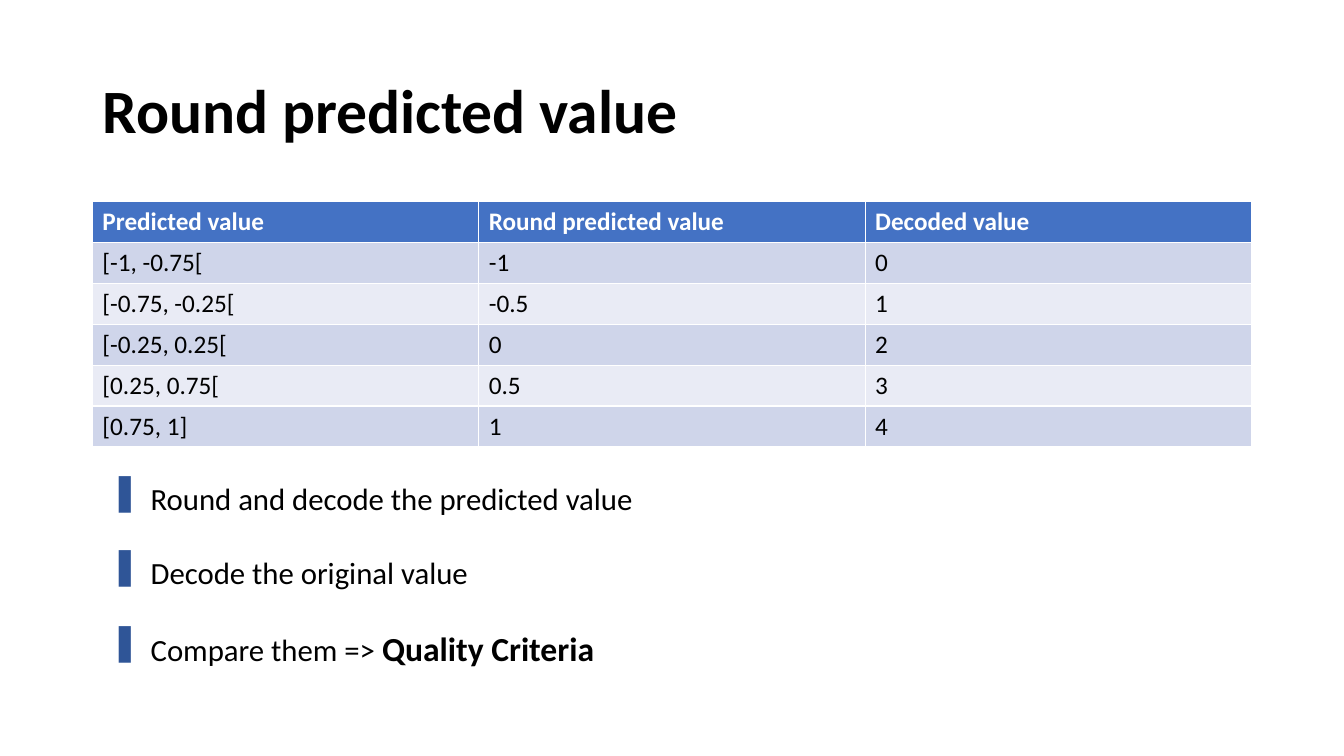
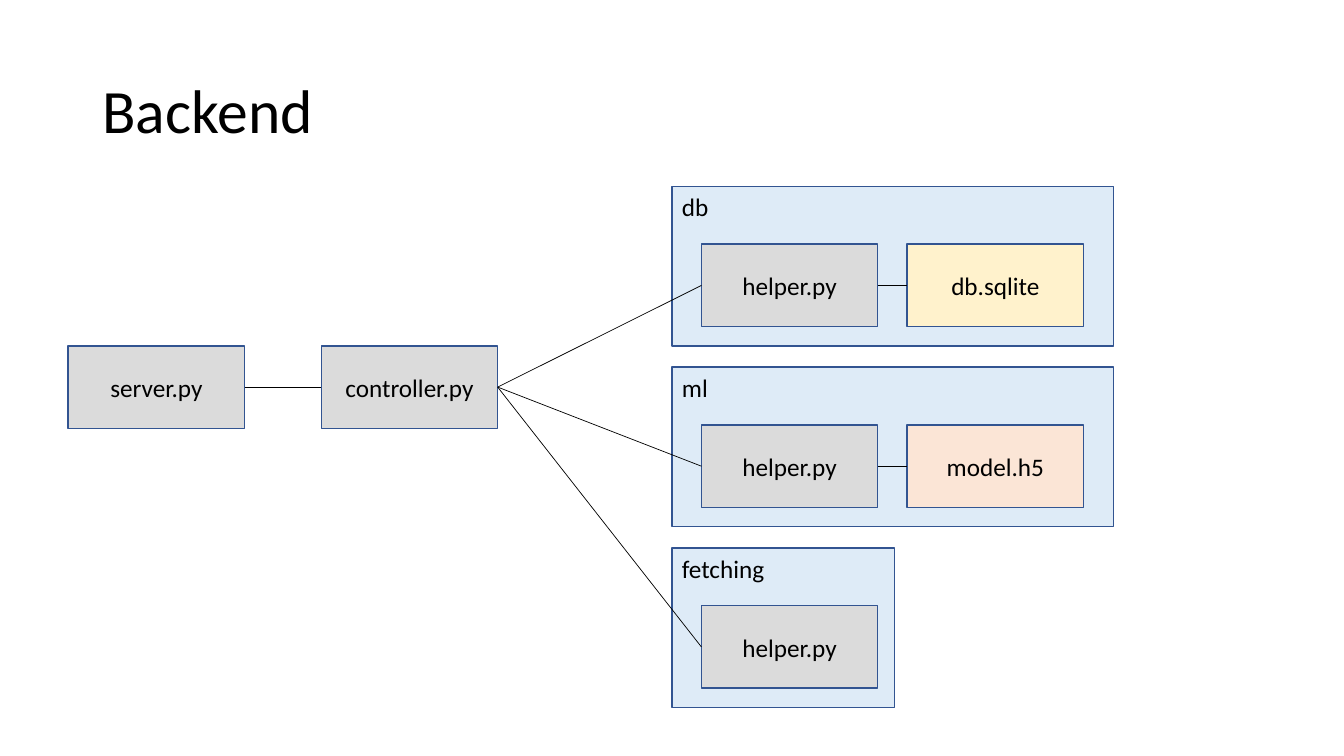
from lxml.etree import SubElement
from pptx import Presentation
from pptx.dml.color import RGBColor
from pptx.enum.shapes import MSO_CONNECTOR, MSO_SHAPE
from pptx.enum.text import MSO_ANCHOR, PP_ALIGN
from pptx.oxml.ns import qn
from pptx.util import Pt

# Palette
BLACK = RGBColor(0x00, 0x00, 0x00)
WHITE = RGBColor(0xFF, 0xFF, 0xFF)
HEADER_BLUE = RGBColor(0x44, 0x72, 0xC4)
BAND_DARK = RGBColor(0xCF, 0xD5, 0xEA)
BAND_LIGHT = RGBColor(0xE9, 0xEB, 0xF5)
BULLET_BLUE = RGBColor(0x2F, 0x55, 0x97)
OUTLINE_BLUE = RGBColor(0x32, 0x54, 0x91)
GROUP_BLUE = RGBColor(0xDE, 0xEB, 0xF7)
GREY = RGBColor(0xDB, 0xDB, 0xDB)
YELLOW = RGBColor(0xFF, 0xF2, 0xCC)
ORANGE = RGBColor(0xFB, 0xE5, 0xD6)

# Connection sites of a rectangle
LEFT_SITE, RIGHT_SITE = 1, 3


class SlideWriter:
    FONT = "Calibri"
    TITLE_SIZE = 44
    BODY_SIZE = 18
    LIST_SIZE = 22
    TITLE_ONLY = 5

    def __init__(self):
        self.deck = Presentation()
        self.deck.slide_width = Pt(960)
        self.deck.slide_height = Pt(540)
        self.page = None

    def style(self, font, size, color=BLACK, bold=False):
        font.name = self.FONT
        font.size = Pt(size)
        font.bold = bold
        font.color.rgb = color

    def add_page(self, text, bold=False):
        layout = self.deck.slide_layouts[self.TITLE_ONLY]
        self.page = self.deck.slides.add_slide(layout)
        title = self.page.shapes.title
        title.left, title.top = Pt(66), Pt(28.8)
        title.width, title.height = Pt(828), Pt(104.4)
        title.text_frame.text = text
        title.text_frame.vertical_anchor = MSO_ANCHOR.MIDDLE
        para = title.text_frame.paragraphs[0]
        para.alignment = PP_ALIGN.LEFT
        para.line_spacing = 0.9
        self.style(para.font, self.TITLE_SIZE, bold=bold)

    def add_table(self, rows, left, top, width, row_height):
        frame = self.page.shapes.add_table(
            len(rows), len(rows[0]), Pt(left), Pt(top),
            Pt(width), Pt(row_height * len(rows)))
        for row_index, row in enumerate(rows):
            header = row_index == 0
            band = BAND_DARK if row_index % 2 else BAND_LIGHT
            for column_index, text in enumerate(row):
                cell = frame.table.cell(row_index, column_index)
                cell.text = text
                cell.fill.solid()
                cell.fill.fore_color.rgb = HEADER_BLUE if header else band
                self.style(cell.text_frame.paragraphs[0].font, self.BODY_SIZE,
                           WHITE if header else BLACK, header)

    def add_bullets(self, items, left, top, width, height, gap):
        """Each item is a list of (text, size, bold) spans."""
        box = self.page.shapes.add_textbox(
            Pt(left), Pt(top), Pt(width), Pt(height))
        frame = box.text_frame
        frame.word_wrap = True
        for index, spans in enumerate(items):
            para = frame.add_paragraph() if index else frame.paragraphs[0]
            para.space_after = Pt(gap)
            self.set_bullet(para, indent=22.5)
            for text, size, bold in spans:
                span = para.add_run()
                span.text = text
                self.style(span.font, size, bold=bold)

    def set_bullet(self, para, indent):
        properties = para._p.get_or_add_pPr()
        properties.set("marL", str(Pt(indent)))
        properties.set("indent", str(-Pt(indent)))
        color = SubElement(properties, qn("a:buClr"))
        SubElement(color, qn("a:srgbClr"), val=str(BULLET_BLUE))
        SubElement(properties, qn("a:buChar"), char="▌")

    def add_box(self, text, left, top, width, height, fill,
                anchor=MSO_ANCHOR.MIDDLE, align=PP_ALIGN.CENTER):
        box = self.page.shapes.add_shape(
            MSO_SHAPE.RECTANGLE, Pt(left), Pt(top), Pt(width), Pt(height))
        box.shadow.inherit = False
        box.fill.solid()
        box.fill.fore_color.rgb = fill
        box.line.color.rgb = OUTLINE_BLUE
        box.line.width = Pt(1)
        box.text_frame.text = text
        box.text_frame.vertical_anchor = anchor
        para = box.text_frame.paragraphs[0]
        para.alignment = align
        self.style(para.font, self.BODY_SIZE)
        return box

    def add_file(self, text, left, top, fill=GREY):
        return self.add_box(text, left, top, 126, 59, fill)

    def add_group(self, text, left, top, width):
        self.add_box(text, left, top, width, 114, GROUP_BLUE,
                     MSO_ANCHOR.TOP, PP_ALIGN.LEFT)

    def add_link(self, source, target):
        link = self.page.shapes.add_connector(
            MSO_CONNECTOR.STRAIGHT, 0, 0, 0, 0)
        link.begin_connect(source, RIGHT_SITE)
        link.end_connect(target, LEFT_SITE)
        link.line.color.rgb = BLACK
        link.line.width = Pt(0.5)
        SubElement(link._element.spPr, qn("a:effectLst"))


def build_rounding(writer):
    writer.add_page("Round predicted value", bold=True)
    writer.add_table([
        ("Predicted value", "Round predicted value", "Decoded value"),
        ("[-1, -0.75[", "-1", "0"),
        ("[-0.75, -0.25[", "-0.5", "1"),
        ("[-0.25, 0.25[", "0", "2"),
        ("[0.25, 0.75[", "0.5", "3"),
        ("[0.75, 1]", "1", "4"),
    ], left=66, top=144, width=828, row_height=29.2)
    size = writer.LIST_SIZE
    writer.add_bullets([
        [("Round and decode the predicted value", size, False)],
        [("Decode the original value", size, False)],
        [("Compare them => ", size, False), ("Quality Criteria", 24, True)],
    ], left=78, top=339, width=480, height=143, gap=26.5)


def build_backend(writer):
    writer.add_page("Backend")

    # Entry point
    server = writer.add_file("server.py", 48.7, 247)
    controller = writer.add_file("controller.py", 229.5, 247)
    links = [(server, controller)]

    # Modules, each with a helper and perhaps a data file
    modules = [
        ("db", 315.4, "db.sqlite", YELLOW),
        ("ml", 315.4, "model.h5", ORANGE),
        ("fetching", 159, None, None),
    ]
    for index, (name, width, data_name, fill) in enumerate(modules):
        top = 133.2 + 129.1 * index
        writer.add_group(name, 480, top, width)
        helper = writer.add_file("helper.py", 501, top + 41.2)
        links.append((controller, helper))
        if data_name:
            data_file = writer.add_file(data_name, 648, top + 41.2, fill)
            links.append((helper, data_file))

    # Links lie above the boxes
    for source, target in links:
        writer.add_link(source, target)


def main():
    writer = SlideWriter()
    build_rounding(writer)
    build_backend(writer)
    writer.deck.save("out.pptx")


if __name__ == "__main__":
    main()
